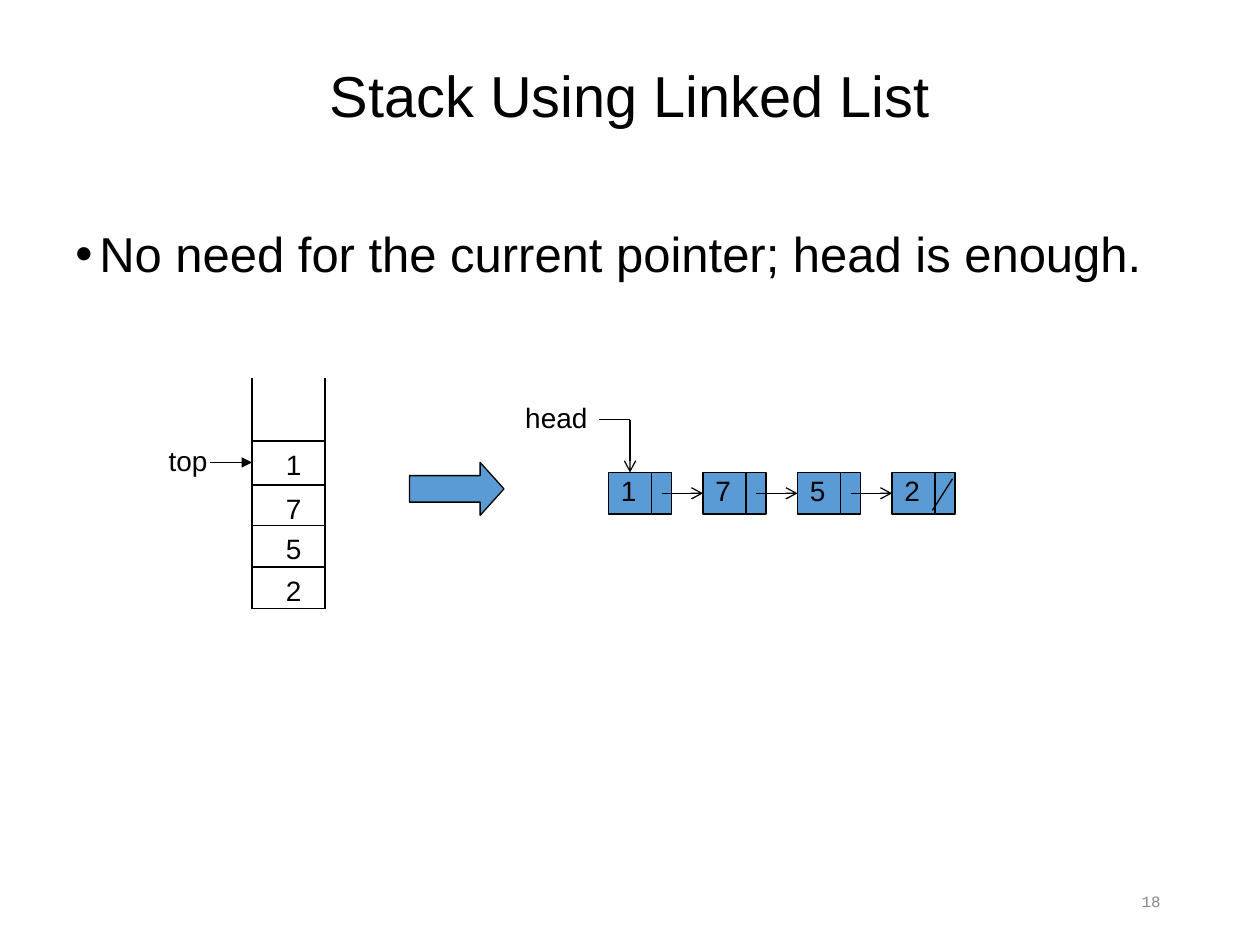
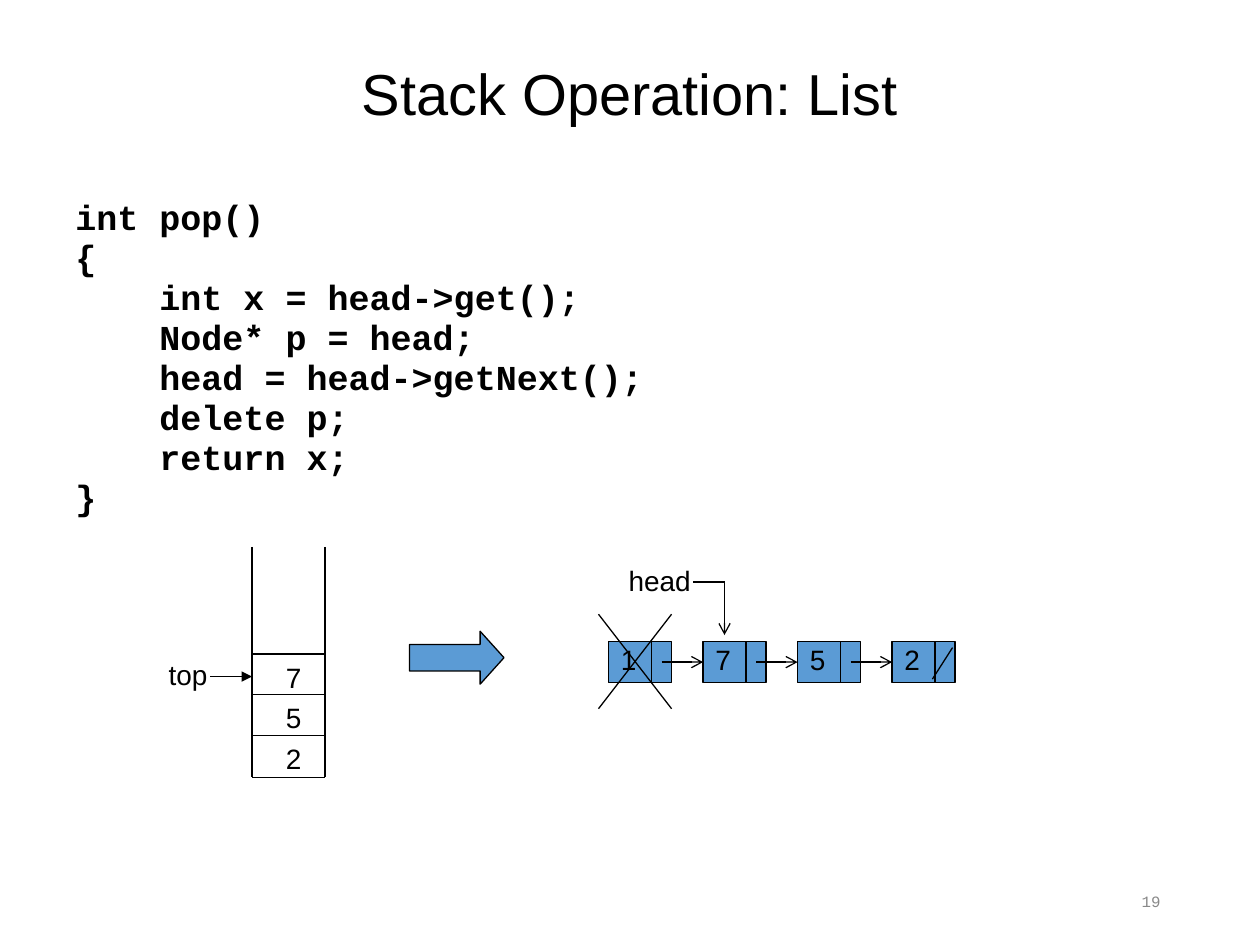
"""Build two slides on a stack implemented with a linked list."""
from dataclasses import dataclass

from pptx import Presentation
from pptx import util as u
from pptx.dml.color import RGBColor
from pptx.enum import shapes, text
from pptx.oxml.ns import qn
from lxml import etree

BLACK = "000000"
BLUE = "5B9BD5"
GRAY = "898989"
SANS = "Arial"
MONO = "Courier New"
STACK_LEFT, STACK_RIGHT, STACK_HEIGHT = 2, 2.58, 1.83
CELL_EDGES = (0.33, 0.66, 0.98, 1.33)
NODE_LEFT, NODE_PITCH, NODE_WIDTH, NODE_HEIGHT = 4.83, 0.75, 0.5, 0.33
LABEL_HEIGHT = 0.37
LABEL_RISE = 0.2


@dataclass(frozen=True)
class HeadPointer:
    """Place of the head label and of the corner of its arrow."""
    label_left: float
    corner_x: float
    corner_y: float


@dataclass(frozen=True)
class StackDiagram:
    """A stack, bottom value first, beside its linked list."""
    floor: float
    stack: str
    nodes: str
    top_y: float
    head: HeadPointer
    removed: bool = False


def rgb(value: str) -> RGBColor:
    """Return the colour for a hex string."""
    return RGBColor.from_string(value)


def add_bullet(paragraph) -> None:
    """Give a paragraph a hanging black bullet."""
    properties = paragraph._p.get_or_add_pPr()
    properties.set("marL", str(u.Inches(0.19)))
    properties.set("indent", str(u.Inches(-0.19)))
    color = etree.SubElement(properties, qn("a:buClr"))
    etree.SubElement(color, qn("a:srgbClr"), val=BLACK)
    etree.SubElement(properties, qn("a:buFont"), typeface=SANS)
    etree.SubElement(properties, qn("a:buChar"), char="•")


def add_text(slide, content: str, left: float, top: float, width: float,
             height: float = LABEL_HEIGHT, *, size: float = 16, font: str = SANS,
             color: str = BLACK, bold: bool = False, bullet: bool = False,
             wrap: bool = True, grow: bool = False, inset_top: float = 0.05,
             align=text.PP_ALIGN.LEFT, anchor=text.MSO_ANCHOR.TOP,
             line_spacing: float = 1.0, space_before: float = 0):
    """Add a text box with one paragraph for each line of content."""
    shape = slide.shapes.add_textbox(*map(u.Inches, (left, top, width, height)))
    frame = shape.text_frame
    frame.word_wrap = wrap
    frame.auto_size = (text.MSO_AUTO_SIZE.SHAPE_TO_FIT_TEXT if grow
                       else text.MSO_AUTO_SIZE.NONE)
    frame.vertical_anchor = anchor
    frame.margin_top = u.Inches(inset_top)
    for index, line in enumerate(content.split("\n")):
        paragraph = frame.add_paragraph() if index else frame.paragraphs[0]
        if bullet:
            add_bullet(paragraph)
        paragraph.alignment = align
        paragraph.line_spacing = line_spacing
        paragraph.space_before = u.Pt(space_before if index else 0)
        run = paragraph.add_run()
        run.text = line
        run.font.name = font
        run.font.size = u.Pt(size)
        run.font.bold = bold
        run.font.color.rgb = rgb(color)
    return shape


def add_line(slide, x1: float, y1: float, x2: float, y2: float, arrow: str = ""):
    """Add a thin black line, with an arrowhead at its end if one is named."""
    connector = slide.shapes.add_connector(
        shapes.MSO_CONNECTOR.STRAIGHT, *map(u.Inches, (x1, y1, x2, y2)))
    connector.line.color.rgb = rgb(BLACK)
    connector.line.width = u.Pt(0.75)
    if arrow:
        etree.SubElement(connector.line._get_or_add_ln(), qn("a:tailEnd"), type=arrow)
    etree.SubElement(connector._element.spPr, qn("a:effectLst"))
    return connector


def add_block(slide, kind, left: float, top: float, width: float, height: float):
    """Add a blue shape with a thin black outline."""
    shape = slide.shapes.add_shape(kind, *map(u.Inches, (left, top, width, height)))
    shape.shadow.inherit = False
    shape.fill.solid()
    shape.fill.fore_color.rgb = rgb(BLUE)
    shape.line.color.rgb = rgb(BLACK)
    shape.line.width = u.Pt(0.75)
    return shape


def draw_stack(slide, diagram: StackDiagram) -> None:
    """Draw the open-topped stack, its values and the top pointer."""
    floor = diagram.floor
    for x in (STACK_LEFT, STACK_RIGHT):
        add_line(slide, x, floor - STACK_HEIGHT, x, floor)
    add_line(slide, STACK_LEFT, floor, STACK_RIGHT, floor)
    for value, edge in zip(diagram.stack, CELL_EDGES):
        add_line(slide, STACK_LEFT, floor - edge, STACK_RIGHT, floor - edge)
        add_text(slide, value, 2.17, floor - edge, 0.32, wrap=False, grow=True)
    add_text(slide, "top", 1.24, diagram.top_y - LABEL_RISE, 0.51, wrap=False, grow=True)
    add_line(slide, 1.67, diagram.top_y, STACK_LEFT, diagram.top_y, "triangle")


def draw_list(slide, diagram: StackDiagram) -> None:
    """Draw the linked nodes and the head pointer."""
    top = diagram.floor - 1.08
    middle = top + NODE_HEIGHT / 2
    lefts = [NODE_LEFT + index * NODE_PITCH for index in range(len(diagram.nodes))]
    boxes = [add_block(slide, shapes.MSO_SHAPE.RECTANGLE, left, top,
                       NODE_WIDTH, NODE_HEIGHT) for left in lefts]
    for value, left in zip(diagram.nodes, lefts):
        add_line(slide, left + 0.34, top, left + 0.34, top + NODE_HEIGHT)
        add_text(slide, value, left, top - 0.04, 0.27, grow=True)
    for left, next_box in zip(lefts, boxes[1:]):
        link = add_line(slide, left + 0.42, middle, left + NODE_PITCH, middle, "arrow")
        link.end_connect(next_box, 1)
    add_line(slide, lefts[-1] + 0.48, top + 0.05, lefts[-1] + 0.32, top + 0.3)

    head = diagram.head
    add_text(slide, "head", head.label_left, head.corner_y - LABEL_RISE, 0.69,
             wrap=False, grow=True)
    add_line(slide, head.corner_x - 0.25, head.corner_y, head.corner_x, head.corner_y)
    add_line(slide, head.corner_x, head.corner_y,
             head.corner_x, head.corner_y + 0.42, "arrow")
    if diagram.removed:
        cross_left, cross_right = NODE_LEFT - 0.08, NODE_LEFT + NODE_WIDTH
        cross_top, cross_bottom = middle - 0.38, middle + 0.37
        add_line(slide, cross_right, cross_top, cross_left, cross_bottom)
        add_line(slide, cross_left, cross_top, cross_right, cross_bottom)


def add_slide(presentation, title: str, title_height: float, number: int,
              diagram: StackDiagram):
    """Add a slide with its title, diagram and number."""
    slide = presentation.slides.add_slide(presentation.slide_layouts[6])
    add_text(slide, title, 0.5, 0.4, 9, title_height, size=33, line_spacing=0.9,
             align=text.PP_ALIGN.CENTER, anchor=text.MSO_ANCHOR.MIDDLE)
    draw_stack(slide, diagram)
    add_block(slide, shapes.MSO_SHAPE.RIGHT_ARROW, 3.25, diagram.floor - 1.16,
              0.75, 0.42).adjustments[1] = 0.45
    draw_list(slide, diagram)
    add_text(slide, str(number), 7.06, 6.95, 2.25, 0.4, size=9, font=MONO, color=GRAY,
             align=text.PP_ALIGN.RIGHT, anchor=text.MSO_ANCHOR.MIDDLE)
    return slide


POP_CODE = """int pop()
{
    int x = head->get();
    Node* p = head;
    head = head->getNext();
    delete p;
    return x;
}"""


def main() -> None:
    """Build and save the presentation."""
    presentation = Presentation()
    presentation.slide_width = u.Inches(10)
    presentation.slide_height = u.Inches(7.5)

    full_stack = StackDiagram(4.83, "2571", "1752", 3.67, HeadPointer(4.07, 5, 3.33))
    slide = add_slide(presentation, "Stack Using Linked List", 0.77, 18, full_stack)
    add_text(slide, "No need for the current pointer; head is enough.",
             0.5, 1.75, 9, 0.67, size=28, bullet=True, line_spacing=0.9, inset_top=0.08)

    popped_stack = StackDiagram(6.17, "257", "1752", 5.37,
                                HeadPointer(4.89, 5.75, 4.62), removed=True)
    slide = add_slide(presentation, "Stack Operation: List", 0.73, 19, popped_stack)
    add_text(slide, POP_CODE, 0.5, 1.58, 9, 2.58, size=20, font=MONO, bold=True,
             line_spacing=0.64, space_before=7.5, inset_top=0.08)

    presentation.save("out.pptx")


if __name__ == "__main__":
    main()
